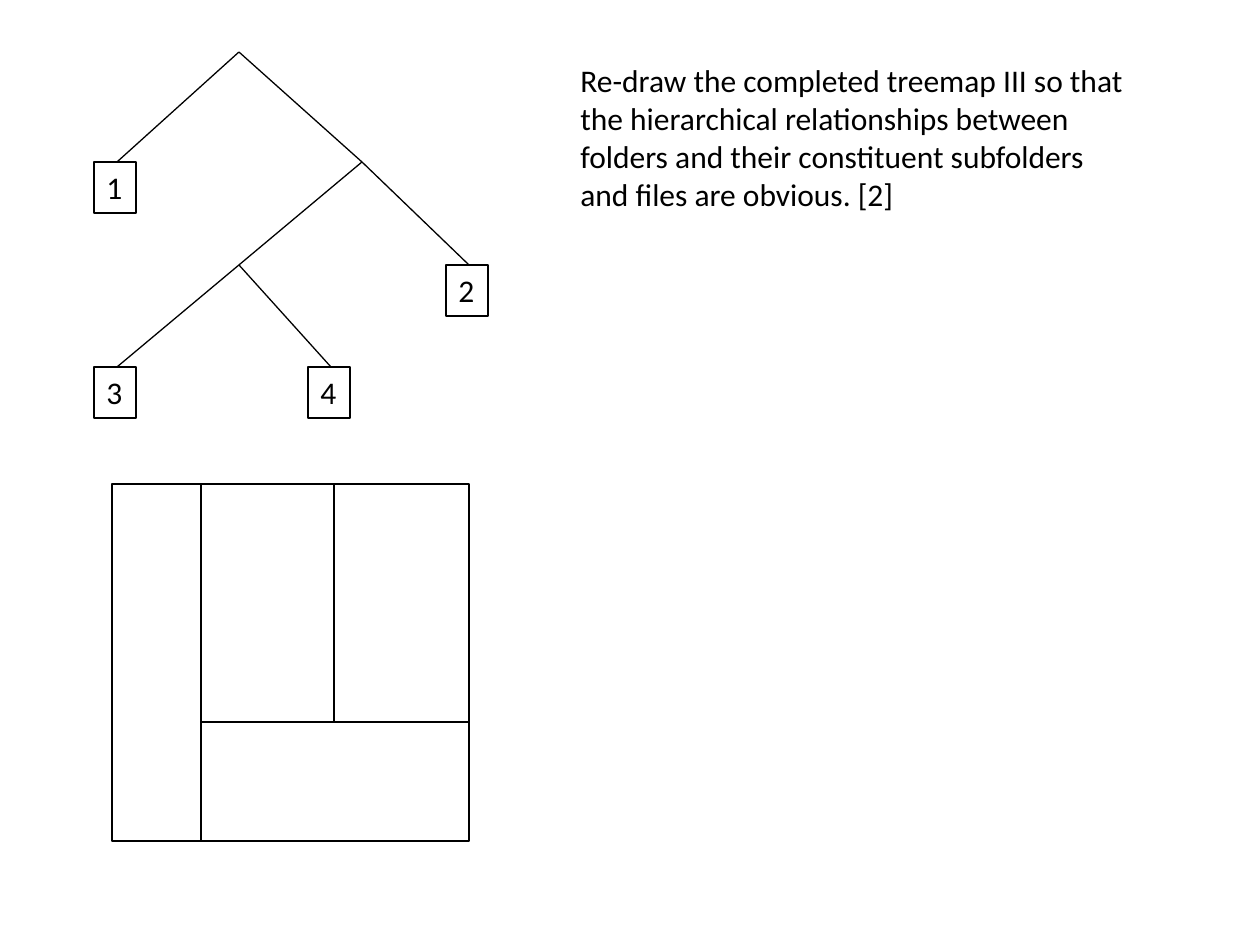
from pptx import Presentation
from pptx.util import Emu, Pt
from pptx.dml.color import RGBColor
from pptx.enum import shapes, text
from pptx.oxml.ns import qn
from lxml import etree

COLORS = {"ink": "000000"}
FONT = "Calibri"
SCALE = 914400 // 126

QUESTION = ("Re-draw the completed treemap III so that the hierarchical relationships "
            "between folders and their constituent subfolders and files are obvious. [2]")
QUESTION_AREA = (568, 55, 575, 165)

NODES = {"root": (239, 52), "right": (362, 162), "inner": (239, 265),
         "1": (117, 162), "2": (469, 265), "3": (117, 367), "4": (331, 367)}
BRANCHES = [("root", "1"), ("root", "right"), ("right", "inner"),
            ("right", "2"), ("inner", "3"), ("inner", "4")]
LEAVES = ["1", "3", "4", "2"]
LEAF_WIDTH, LEAF_HEIGHT, LEAF_SHIFT = 42, 51, 2

MAP_LEFT, MAP_TOP, MAP_SIDE = 112, 484, 357
MAP_RIGHT, MAP_BOTTOM = MAP_LEFT + MAP_SIDE, MAP_TOP + MAP_SIDE
COLUMN, ROW, SPLIT = 201, 722, 334
DIVIDERS = [((COLUMN, MAP_TOP), (COLUMN, MAP_BOTTOM)),
            ((COLUMN, ROW), (MAP_RIGHT, ROW)),
            ((SPLIT, MAP_TOP), (SPLIT, ROW))]


def px(*values):
    return [Emu(value * SCALE) for value in values]


def ink(color="ink"):
    return RGBColor.from_string(COLORS[color])


def set_line(shape, weight):
    shape.line.color.rgb = ink()
    shape.line.width = Pt(weight)


def add_line(start, end, weight):
    line = page.shapes.add_connector(shapes.MSO_CONNECTOR.STRAIGHT, *px(*start, *end))
    set_line(line, weight)
    etree.SubElement(line._element.spPr, qn("a:effectLst"))


def add_box(area, weight):
    box = page.shapes.add_shape(shapes.MSO_SHAPE.RECTANGLE, *px(*area))
    box.shadow.inherit = False
    box.fill.background()
    set_line(box, weight)
    return box


def write(box, words, size=18, align=text.PP_ALIGN.LEFT, wrap=True):
    frame = box.text_frame
    frame.word_wrap = wrap
    frame.auto_size = text.MSO_AUTO_SIZE.SHAPE_TO_FIT_TEXT
    frame.vertical_anchor = text.MSO_ANCHOR.TOP
    para = frame.paragraphs[0]
    para.alignment = align
    span = para.add_run()
    span.text = words
    span.font.size = Pt(size)
    span.font.name = FONT
    span.font.color.rgb = ink()


deck = Presentation()
deck.slide_width, deck.slide_height = px(1260, 945)
page = deck.slides.add_slide(deck.slide_layouts[6])

for parent, child in BRANCHES:
    add_line(NODES[parent], NODES[child], 0.75)

for name in LEAVES:
    x, y = NODES[name]
    leaf = add_box((x - LEAF_SHIFT - LEAF_WIDTH // 2, y, LEAF_WIDTH, LEAF_HEIGHT), 0.75)
    write(leaf, name, wrap=False)

add_box((MAP_LEFT, MAP_TOP, MAP_SIDE, MAP_SIDE), 1)
for start, end in DIVIDERS:
    add_line(start, end, 1)

write(page.shapes.add_textbox(*px(*QUESTION_AREA)), QUESTION)

deck.save("out.pptx")
